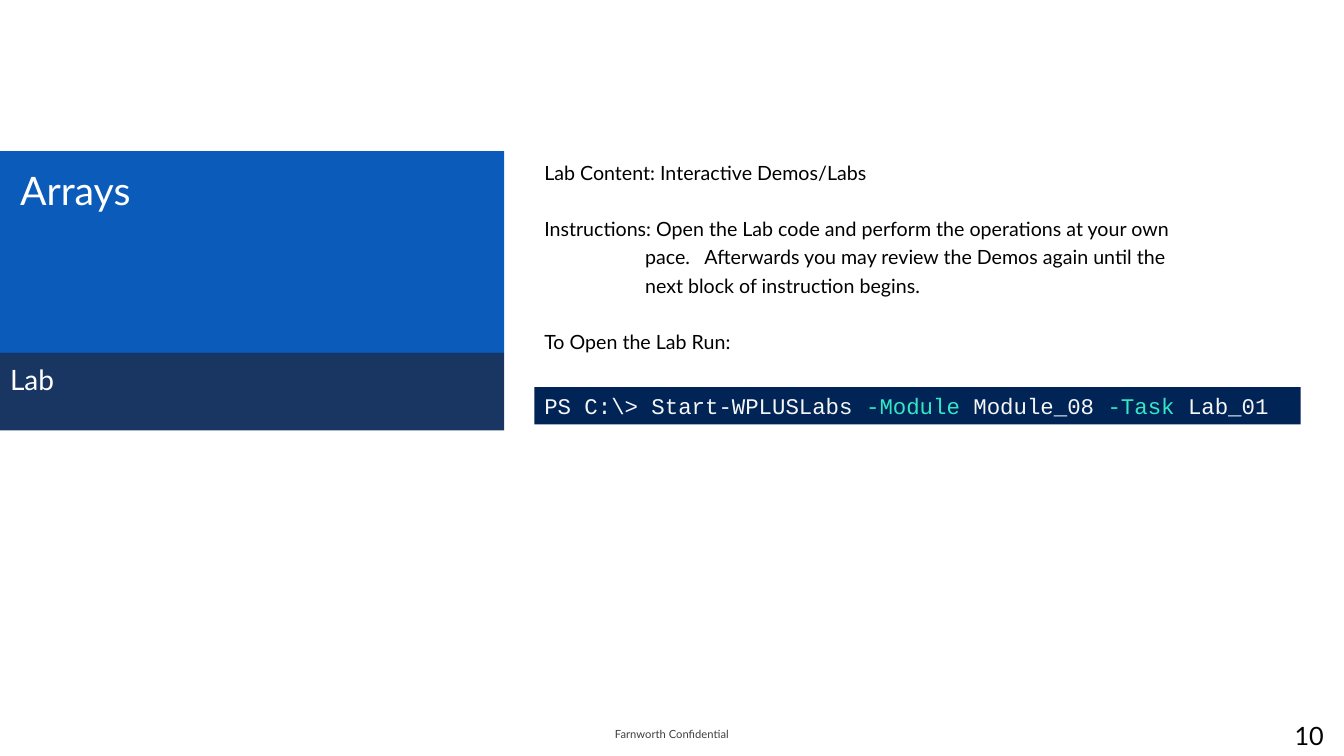
from lxml.etree import SubElement
from pptx import Presentation
from pptx.dml.color import RGBColor
from pptx.enum.shapes import MSO_SHAPE
from pptx.enum.text import MSO_ANCHOR as Anchor, MSO_AUTO_SIZE as AutoSize, PP_ALIGN as Align
from pptx.oxml.ns import qn
from pptx.util import Pt

# Content
TITLE = "Arrays"
SUBTITLE = "Lab"
FOOTER = "Farnworth Confidential"
PAGE_NUMBER = "10"
INSTRUCTIONS = [  # text, hanging indent in px
    ("Lab Content: Interactive Demos/Labs", 0),
    ("Instructions: Open the Lab code and perform the operations at your own pace.   "
     "Afterwards you may review the Demos again until the next block of instruction begins.", 100),
    ("To Open the Lab Run:", 0),
]
PLAIN, PARAMETER = "F5F5F5", "33E6C5"
COMMAND = [
    ("PS C:\\> Start-WPLUSLabs ", PLAIN),
    ("-Module ", PARAMETER),
    ("Module_08 ", PLAIN),
    ("-Task ", PARAMETER),
    ("Lab_01", PLAIN),
]

# Layout, 100 px to the inch
SLIDE_WIDTH, SLIDE_HEIGHT = 1333, 750
BAND_TOP, BAND_WIDTH, TITLE_HEIGHT, SUBTITLE_HEIGHT = 150, 500, 200, 77
CONTENT_LEFT = 530
FOOTER_WIDTH, FOOTER_HEIGHT = 311, 40
SMALL_INSETS = (10, 5, 10, 5)
FOOTER_INSETS = (20, 5, 20, 5)


def px(length):
    return length * 9144


def color(value):
    return RGBColor.from_string(value)


def place(shape, left, top, width, height):
    shape.left, shape.top, shape.width, shape.height = map(px, (left, top, width, height))


def set_frame(shape, insets=SMALL_INSETS, anchor=Anchor.TOP):
    frame = shape.text_frame
    frame.word_wrap = True
    frame.auto_size = AutoSize.NONE
    frame.vertical_anchor = anchor
    frame.margin_left, frame.margin_top, frame.margin_right, frame.margin_bottom = map(px, insets)
    return frame


def set_font(font, size, value=None, name="Lato"):
    font.name, font.size = name, Pt(size)
    if value:
        font.color.rgb = color(value)


def fill(shape, value):
    shape.fill.solid()
    shape.fill.fore_color.rgb = color(value)
    shape.line.fill.background()


def set_text(shape, text, size, value, insets, anchor=Anchor.TOP, align=Align.LEFT):
    paragraph = set_frame(shape, insets, anchor).paragraphs[0]
    paragraph.text = text
    paragraph.alignment = align
    set_font(paragraph.font, size, value)
    return paragraph


presentation = Presentation()
presentation.slide_width, presentation.slide_height = px(SLIDE_WIDTH), px(SLIDE_HEIGHT)
slide = presentation.slides.add_slide(presentation.slide_layouts[1])
title, subtitle = slide.placeholders

# Title band
place(title, 0, BAND_TOP, BAND_WIDTH, TITLE_HEIGHT)
fill(title, "0A5BBA")
set_text(title, TITLE, 28, "FFFFFF", (20, 15, 10, 5))

# Subtitle band, slightly transparent and without a bullet
place(subtitle, 0, BAND_TOP + TITLE_HEIGHT, BAND_WIDTH, SUBTITLE_HEIGHT)
fill(subtitle, "002050")
fill_color = subtitle.fill._xPr.find(".//" + qn("a:srgbClr"))
SubElement(fill_color, qn("a:alpha"), val="90000")
paragraph = set_text(subtitle, SUBTITLE, 20, "FFFFFF", (10, 10, 10, 5))
paragraph.space_before = Pt(0)
properties = paragraph._p.get_or_add_pPr()
properties.set("marL", "0")
properties.set("indent", "0")
properties.insert_element_before(
    properties.makeelement(qn("a:buNone")), "a:tabLst", "a:defRPr", "a:extLst")

# Lab instructions
instructions = slide.shapes.add_textbox(0, 0, 0, 0)
place(instructions, CONTENT_LEFT, BAND_TOP, 654, 542)
frame = set_frame(instructions)
for index, (text, hanging) in enumerate(INSTRUCTIONS):
    paragraph = frame.add_paragraph() if index else frame.paragraphs[0]
    paragraph.text = text
    paragraph.line_spacing = 1.2
    paragraph.space_before = Pt(20 if index else 0)
    set_font(paragraph.font, 14, "000000")
    if hanging:
        properties = paragraph._p.get_or_add_pPr()
        properties.set("marL", str(px(hanging)))
        properties.set("indent", str(-px(hanging)))

# Command line
command = slide.shapes.add_shape(MSO_SHAPE.RECTANGLE, 0, 0, 0, 0)
place(command, CONTENT_LEFT, 384, 760, 37)
command.shadow.inherit = False
fill(command, "012456")
paragraph = set_frame(command).paragraphs[0]
paragraph.alignment = Align.LEFT
set_font(paragraph.font, 16, name="Courier New")
for text, value in COMMAND:
    run = paragraph.add_run()
    run.text = text
    run.font.color.rgb = color(value)

# Footer and page number
for text, left, top, size, value, align in [
    (FOOTER, (SLIDE_WIDTH - FOOTER_WIDTH) // 2, 708, 8, "3F3F3F", Align.CENTER),
    (PAGE_NUMBER, SLIDE_WIDTH - FOOTER_WIDTH, 710, 18, "000000", Align.RIGHT),
]:
    box = slide.shapes.add_textbox(0, 0, 0, 0)
    place(box, left, top, FOOTER_WIDTH, FOOTER_HEIGHT)
    set_text(box, text, size, value, FOOTER_INSETS, Anchor.MIDDLE, align)

presentation.save("out.pptx")
